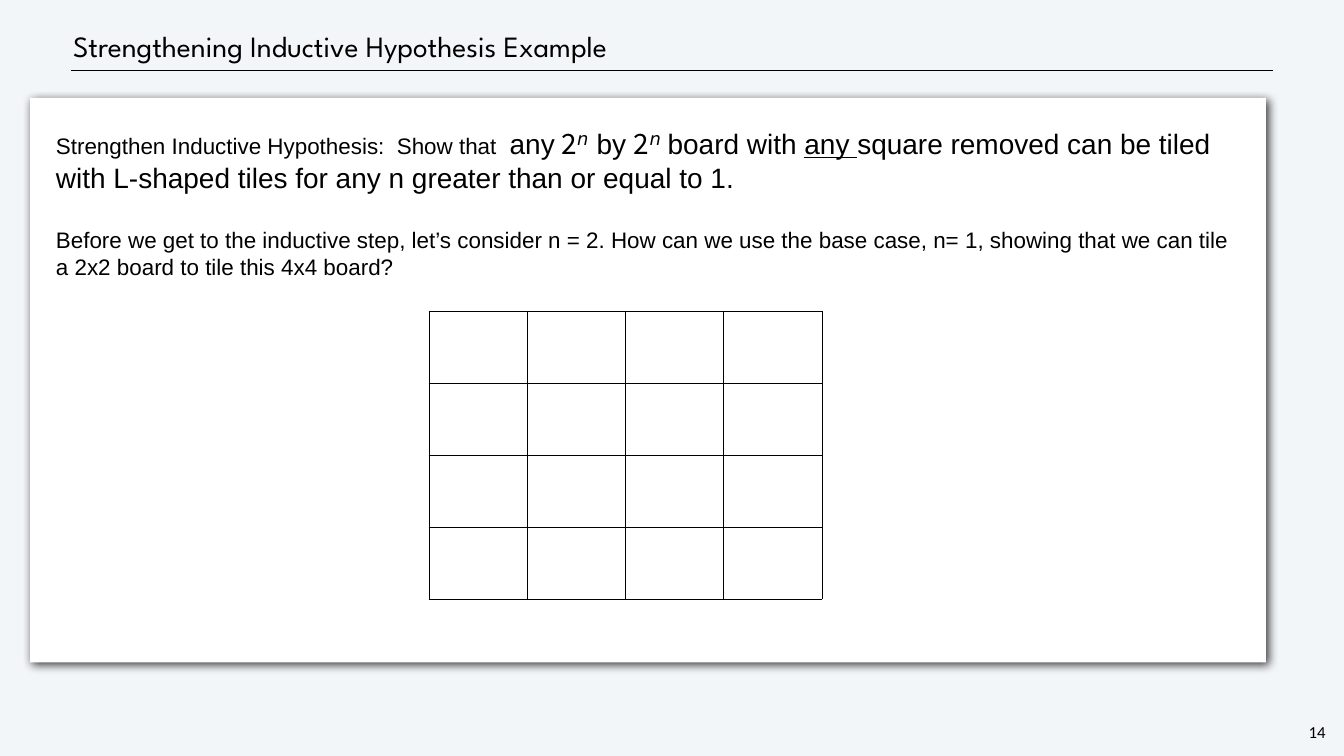
"""Build the slide on strengthening an inductive hypothesis with a 4x4 board."""
from lxml.etree import SubElement
from pptx import Presentation
from pptx.dml.color import RGBColor
from pptx.enum.shapes import MSO_CONNECTOR, MSO_SHAPE
from pptx.enum.text import MSO_ANCHOR, MSO_AUTO_SIZE, PP_ALIGN
from pptx.oxml import parse_xml
from pptx.oxml.ns import nsdecls, qn
from pptx.util import Cm, Pt

BLACK = RGBColor(0x00, 0x00, 0x00)
WHITE = RGBColor(0xFF, 0xFF, 0xFF)
PALE_BLUE = RGBColor(0xF3, 0xF6, 0xF9)
BOARD_SIZE = 4

SMALL = {"name": "Arial", "size": Pt(32)}
LARGE = {"name": "Arial", "size": Pt(40)}
UNDERLINED = {**LARGE, "underline": True}
BASE = {"name": "Noto Sans CJK TC", "size": Pt(40)}
EXPONENT = {"name": "DejaVu Sans", "size": Pt(44), "italic": True}
BASE_XML = {"spc": "40"}
EXPONENT_XML = {"spc": "60", "baseline": "28000"}


def add_run(paragraph, text, font_format, xml_format=None):
    run = paragraph.add_run()
    run.text = text
    run.font.color.rgb = BLACK
    for attribute, value in font_format.items():
        setattr(run.font, attribute, value)
    for attribute, value in (xml_format or {}).items():
        run.font._element.set(attribute, value)


def format_frame(text_frame, inset, **settings):
    for side in ("left", "top", "right", "bottom"):
        setattr(text_frame, f"margin_{side}", inset)
    for attribute, value in settings.items():
        setattr(text_frame, attribute, value)


presentation = Presentation()
presentation.slide_width = Cm(67.74)
presentation.slide_height = Cm(38.1)
slide = presentation.slides.add_slide(presentation.slide_layouts[5])
slide.background.fill.solid()
slide.background.fill.fore_color.rgb = PALE_BLUE

title_rule = slide.shapes.add_connector(
    MSO_CONNECTOR.STRAIGHT, Cm(3.6), Cm(3.56), Cm(64.18), Cm(3.56))
title_rule.line.color.rgb = BLACK
title_rule.line.width = Pt(1)
SubElement(title_rule._element.spPr, qn("a:effectLst"))

title = slide.shapes.title
title_place = {"left": Cm(3.53), "top": Cm(1.07), "width": Cm(57.45), "height": Cm(2.51)}
for attribute, value in title_place.items():
    setattr(title, attribute, value)
format_frame(title.text_frame, Cm(0.15), vertical_anchor=MSO_ANCHOR.MIDDLE,
             word_wrap=True, auto_size=MSO_AUTO_SIZE.NONE)
paragraph = title.text_frame.paragraphs[0]
title_spacing = {"alignment": PP_ALIGN.LEFT, "line_spacing": Pt(50), "space_before": Pt(3)}
for attribute, value in title_spacing.items():
    setattr(paragraph, attribute, value)
add_run(paragraph, "Strengthening Inductive Hypothesis Example",
        {"name": "League Spartan", "size": Pt(42)})

page_number = slide.shapes.add_textbox(Cm(65.84), Cm(36.3), Cm(1.09), Cm(1.19))
format_frame(page_number.text_frame, Cm(0.1), word_wrap=False)
paragraph = page_number.text_frame.paragraphs[0]
paragraph.alignment = PP_ALIGN.CENTER
paragraph.line_spacing = Pt(28)
add_run(paragraph, "14", {"name": "Calibri", "size": Pt(24)})

card = slide.shapes.add_shape(
    MSO_SHAPE.RECTANGLE, Cm(1.52), Cm(4.93), Cm(62.28), Cm(28.45))
card.fill.solid()
card.fill.fore_color.rgb = WHITE
card.line.fill.background()
card.shadow.inherit = False
card._element.spPr.find(qn("a:effectLst")).append(parse_xml(
    f'<a:outerShdw {nsdecls("a")} blurRad="{Pt(13)}" dist="{Pt(6)}" dir="2700000" '
    'algn="tl" rotWithShape="0"><a:srgbClr val="000000"><a:alpha val="75000"/>'
    '</a:srgbClr></a:outerShdw>'))
format_frame(card.text_frame, Cm(1.3), vertical_anchor=MSO_ANCHOR.TOP, word_wrap=True)

hypothesis = card.text_frame.paragraphs[0]
hypothesis.alignment = PP_ALIGN.LEFT
for run_parts in (
    ("Strengthen Inductive Hypothesis:  Show that  ", SMALL),
    ("any", LARGE),
    (" 2", BASE, BASE_XML),
    ("n", EXPONENT, EXPONENT_XML),
    (" by ", LARGE),
    ("2", BASE, BASE_XML),
    ("n ", EXPONENT, EXPONENT_XML),
    ("board with ", LARGE),
    ("any ", UNDERLINED),
    ("square removed can be tiled with L-shaped tiles for any n greater than "
     "or equal to 1.", LARGE),
):
    add_run(hypothesis, *run_parts)

question = card.text_frame.add_paragraph()
question.alignment = PP_ALIGN.LEFT
question.space_before = Pt(46)
add_run(question, "Before we get to the inductive step, let’s consider n = 2. How can we use "
        "the base case, n= 1, showing that we can tile a 2x2 board to tile this 4x4 board?", SMALL)

board = slide.shapes.add_table(
    BOARD_SIZE, BOARD_SIZE, Cm(21.62), Cm(15.7), Cm(19.81), Cm(14.48)).table
board.first_row = False
board.horz_banding = False
for cell in board.iter_cells():
    cell_properties = cell._tc.get_or_add_tcPr()
    for edge in ("lnL", "lnR", "lnT", "lnB"):
        cell_properties.append(parse_xml(
            f'<a:{edge} {nsdecls("a")} w="{Pt(1)}"><a:solidFill>'
            f'<a:srgbClr val="{BLACK}"/></a:solidFill></a:{edge}>'))
    cell.fill.background()

presentation.save("out.pptx")
